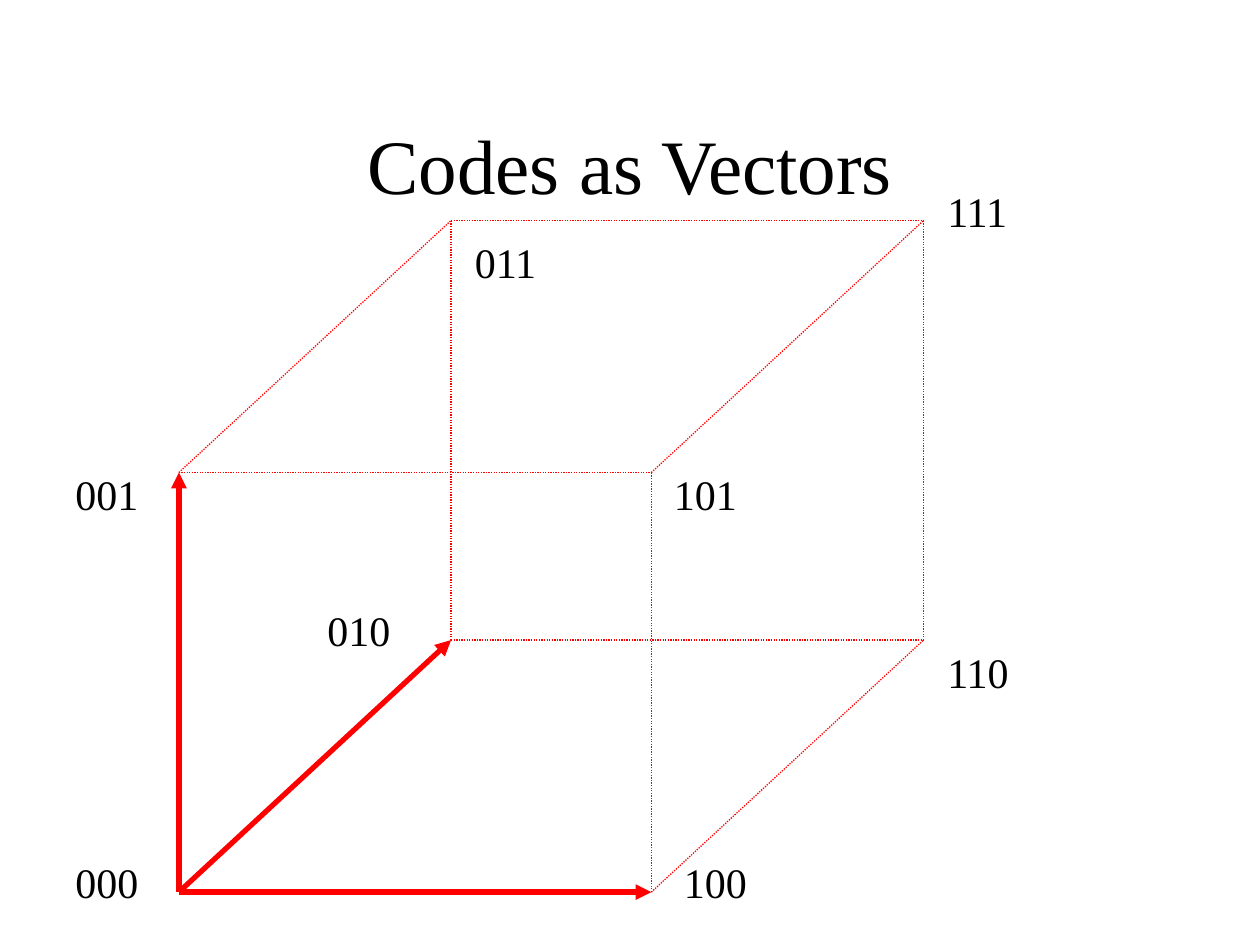
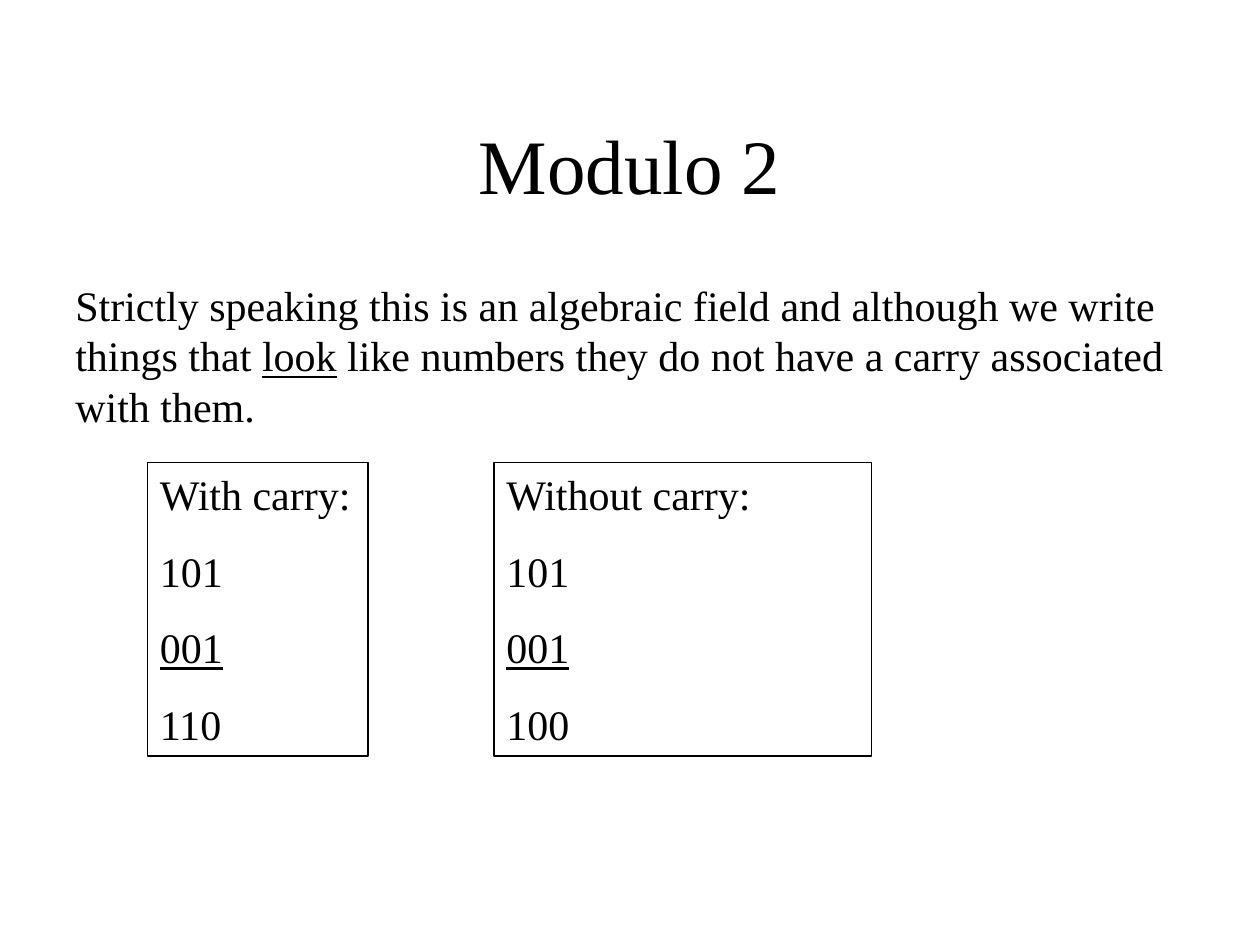
from itertools import product

from lxml.etree import SubElement
from pptx import Presentation
from pptx.dml.color import RGBColor
from pptx.enum.dml import MSO_LINE
from pptx.enum.shapes import MSO_CONNECTOR, MSO_SHAPE
from pptx.enum.text import MSO_ANCHOR, MSO_AUTO_SIZE, PP_ALIGN
from pptx.oxml.ns import qn
from pptx.util import Inches, Pt

BLACK, RED = "000000", "FF0000"

# Cube geometry: the corner 000 and the step that each bit of a code adds
ORIGIN = (1.42, 7.08)
BIT_STEPS = ((3.75, 0), (2.16, -2), (0, -3.33))
LABEL_POSITIONS = {
    "000": (0.5, 6.75), "001": (0.5, 3.67), "010": (2.5, 4.75), "011": (3.67, 1.83),
    "100": (5.33, 6.75), "101": (5.25, 3.67), "110": (7.42, 5.08), "111": (7.42, 1.42),
}


def color(hex_string):
    return RGBColor.from_string(hex_string)


class Deck:
    font_name = "Times New Roman"
    title_size, text_size = 44, 24
    space_before = 15
    thin, thick = 0.75, 3

    def __init__(self):
        self.presentation = Presentation()
        self.presentation.slide_width = Inches(10)
        self.presentation.slide_height = Inches(7.5)
        self.slide = None

    def add_slide(self, title):
        self.slide = self.presentation.slides.add_slide(self.presentation.slide_layouts[6])
        box = self.slide.shapes.add_textbox(Inches(0.75), Inches(0.67), Inches(8.5), Inches(1.25))
        frame = box.text_frame
        frame.word_wrap = True
        frame.vertical_anchor = MSO_ANCHOR.MIDDLE
        paragraph = frame.paragraphs[0]
        paragraph.text = title
        paragraph.alignment = PP_ALIGN.CENTER
        self.style(paragraph, self.title_size)

    def style(self, paragraph, size):
        paragraph.font.name = self.font_name
        paragraph.font.size = Pt(size)
        paragraph.font.color.rgb = color(BLACK)

    def fill_text(self, shape, paragraphs):
        """Write paragraphs, each a list of (text, underlined) runs."""
        frame = shape.text_frame
        frame.word_wrap = True
        frame.auto_size = MSO_AUTO_SIZE.SHAPE_TO_FIT_TEXT
        frame.vertical_anchor = MSO_ANCHOR.TOP
        for index, runs in enumerate(paragraphs):
            paragraph = frame.add_paragraph() if index else frame.paragraphs[0]
            paragraph.alignment = PP_ALIGN.LEFT
            paragraph.space_before = Pt(self.space_before)
            self.style(paragraph, self.text_size)
            for text, underlined in runs:
                run = paragraph.add_run()
                run.text = text
                if underlined:
                    run.font.underline = True

    def text(self, left, top, width, height, *runs):
        box = self.slide.shapes.add_textbox(
            Inches(left), Inches(top), Inches(width), Inches(height))
        self.fill_text(box, [runs])

    def sum_box(self, left, width, heading, total):
        """Add a framed sum of 101 and 001."""
        shape = self.slide.shapes.add_shape(
            MSO_SHAPE.RECTANGLE, Inches(left), Inches(3.67), Inches(width), Inches(2.33))
        shape.shadow.inherit = False
        shape.fill.background()
        shape.line.color.rgb = color(BLACK)
        shape.line.width = Pt(self.thin)
        rows = [(heading, False), ("101", False), ("001", True), (total, False)]
        self.fill_text(shape, [[row] for row in rows])

    def edge(self, start, end, is_vector):
        """Draw a cube edge: a thick arrow for a basis vector, else a thin dotted line."""
        connector = self.slide.shapes.add_connector(
            MSO_CONNECTOR.STRAIGHT, *(Inches(value) for value in (*start, *end)))
        line = connector.line
        line.color.rgb = color(RED)
        line.width = Pt(self.thick if is_vector else self.thin)
        if is_vector:
            SubElement(line._get_or_add_ln(), qn("a:tailEnd"), type="triangle")
        else:
            line.dash_style = MSO_LINE.ROUND_DOT
        SubElement(connector._element.spPr, qn("a:effectLst"))


def corner(bits):
    return tuple(
        ORIGIN[axis] + sum(bit * step[axis] for bit, step in zip(bits, BIT_STEPS))
        for axis in (0, 1))


def add_vectors_slide(deck):
    deck.add_slide("Codes as Vectors")
    for bits in product((0, 1), repeat=3):
        for index, bit in enumerate(bits):
            if not bit:
                neighbour = bits[:index] + (1,) + bits[index + 1:]
                deck.edge(corner(bits), corner(neighbour), is_vector=not any(bits))
    for code, (left, top) in LABEL_POSITIONS.items():
        deck.text(left, top, 0.83, 0.5, (code, False))


def add_modulo_slide(deck):
    deck.add_slide("Modulo 2")
    deck.text(
        0.5, 2.17, 9, 1.3,
        ("Strictly speaking this is an algebraic field and although we write things that ", False),
        ("look", True),
        (" like numbers they do not have a carry associated with them.", False))
    deck.sum_box(1.17, 1.75, "With carry:", "110")
    deck.sum_box(3.92, 3, "Without carry:", "100")


def main():
    deck = Deck()
    add_vectors_slide(deck)
    add_modulo_slide(deck)
    deck.presentation.save("out.pptx")


if __name__ == "__main__":
    main()
